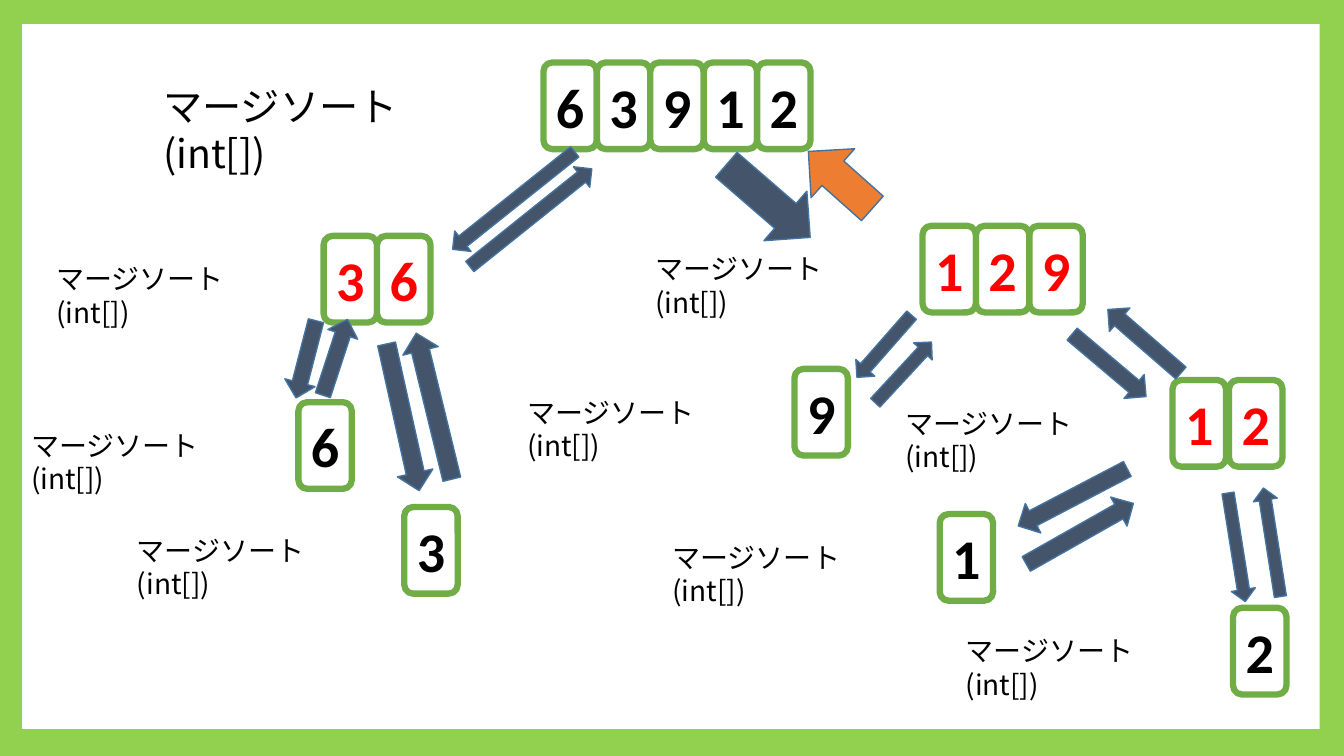
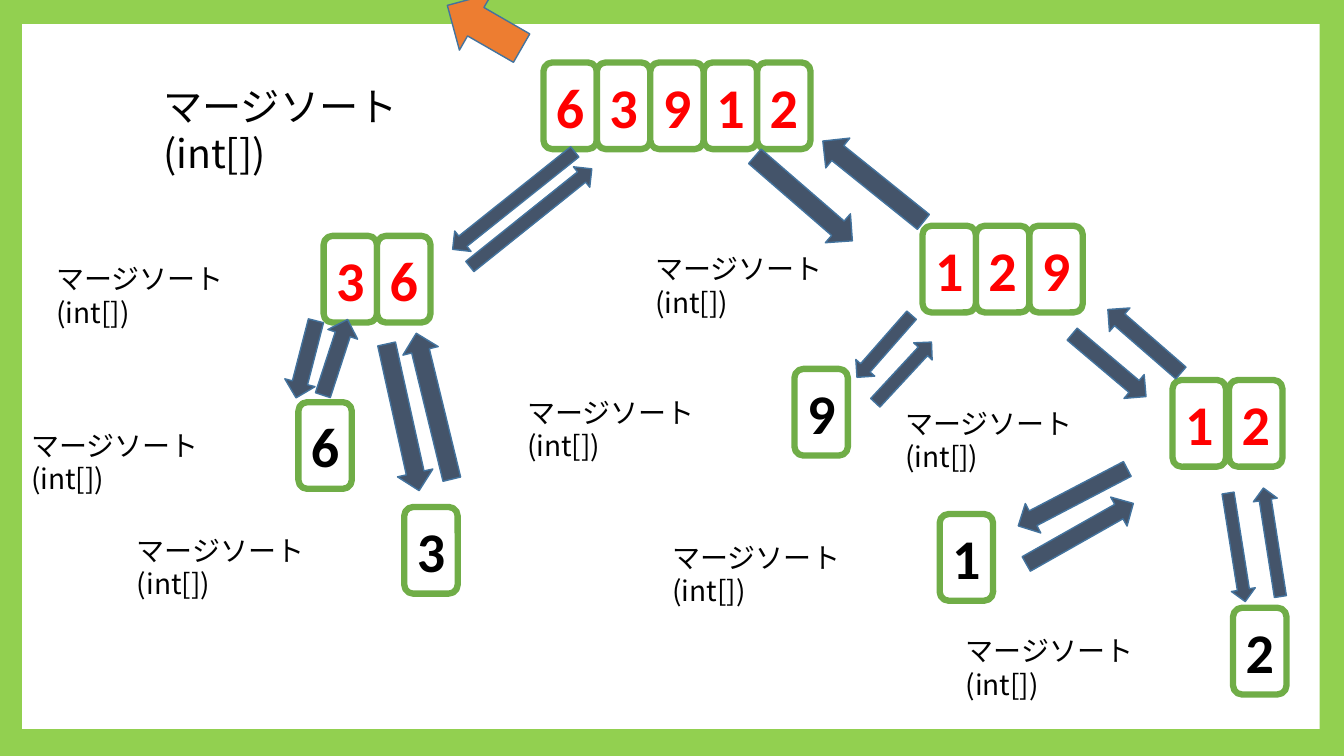
from collections import namedtuple

from pptx import Presentation
from pptx.dml.color import RGBColor
from pptx.enum.shapes import MSO_SHAPE
from pptx.enum.text import MSO_ANCHOR, MSO_AUTO_SIZE, PP_ALIGN
from pptx.util import Inches, Pt

FRAME, WHITE, BLACK = "92D050", "FFFFFF", "000000"
CELL_LINE, SORTED = "70AD47", "FF0000"
ARROW, CURRENT_ARROW, ARROW_LINE = "44546A", "ED7D31", "43739E"
DIGIT_FONT, LABEL_FONT = "Calibri", "Noto Sans CJK JP"
CALL = "マージソート\v(int[])"
CELL_WIDTH, CELL_HEIGHT = 0.53, 0.86

Node = namedtuple("Node", "digits left top pitch color")
Arrow = namedtuple("Arrow", "left top width height angle")

ROOT = Node("63912", 5.39, 0.62, 0.53, BLACK)
CALLS = [
    Node("36", 3.21, 2.34, 0.53, SORTED),
    Node("6", 2.96, 3.99, 0.53, BLACK),
    Node("3", 4.01, 5.03, 0.53, BLACK),
    Node("129", 9.15, 2.24, 0.53, SORTED),
    Node("9", 7.88, 3.66, 0.53, BLACK),
    Node("12", 11.63, 3.77, 0.56, SORTED),
    Node("1", 9.32, 5.1, 0.53, BLACK),
    Node("2", 12.23, 6.03, 0.53, BLACK),
]
SHARED_ARROWS = [
    Arrow(10.52, 3.47, 0.96, 0.31, 40.2),
    Arrow(11.72, 5.31, 1.09, 0.24, 81),
    Arrow(8.36, 3.31, 0.82, 0.25, 131.3),
    Arrow(4.32, 1.86, 1.55, 0.26, 141.4),
    Arrow(3.25, 3.96, 1.49, 0.36, 77.5),
    Arrow(2.64, 3.41, 0.79, 0.31, 104.5),
    Arrow(2.93, 3.39, 0.79, 0.31, 288.1),
    Arrow(3.56, 3.85, 1.49, 0.36, 256.3),
    Arrow(8.55, 3.57, 0.82, 0.25, 312.8),
    Arrow(10.03, 4.77, 1.22, 0.33, 152.4),
    Arrow(10.1, 5.13, 1.22, 0.33, 330.5),
    Arrow(12.07, 5.26, 1.09, 0.24, 261.1),
    Arrow(10.87, 3.23, 0.96, 0.31, 221),
    Arrow(4.49, 2.03, 1.55, 0.26, 321.3),
]
RETURN_TO_ROOT = [Arrow(7.07, 1.67, 1.1, 0.65, 40.9)]
RETURN_DONE = [
    Arrow(7.33, 1.78, 1.28, 0.38, 40.9),
    Arrow(8.02, 1.61, 1.28, 0.38, 218.8),
]


def rgb(value):
    """Turn a hex string into a colour."""
    return RGBColor.from_string(value)


def box(left, top, width, height):
    """Convert a place and size in inches to lengths."""
    return [Inches(value) for value in (left, top, width, height)]


def add_block(slide, preset, place, fill, line=None, line_width=1):
    """Add a filled preset shape without a shadow."""
    block = slide.shapes.add_shape(preset, *box(*place))
    block.shadow.inherit = False
    block.fill.solid()
    block.fill.fore_color.rgb = rgb(fill)
    if line:
        block.line.color.rgb = rgb(line)
        block.line.width = Pt(line_width)
    else:
        block.line.fill.background()
    return block


def set_font(paragraph, name, size, color, bold=False):
    """Set the font of a whole paragraph."""
    font = paragraph.font
    font.name, font.size, font.bold = name, Pt(size), bold
    font.color.rgb = rgb(color)


def write_call(frame, size):
    """Write the method call at the top left of a text frame."""
    frame.text = CALL
    frame.word_wrap = True
    frame.auto_size = MSO_AUTO_SIZE.NONE
    frame.vertical_anchor = MSO_ANCHOR.TOP
    paragraph = frame.paragraphs[0]
    paragraph.alignment = PP_ALIGN.LEFT
    paragraph.line_spacing = Pt(round(size * 1.21))
    set_font(paragraph, LABEL_FONT, size, BLACK)


def add_title(slide):
    """Place the call of the root in the title placeholder."""
    title = slide.shapes.title
    title.left, title.top, title.width, title.height = box(1.52, 0.76, 3.6, 0.57)
    write_call(title.text_frame, 28)


def add_cells(slide, node):
    """Draw the array of a node as a row of cells."""
    for index, digit in enumerate(node.digits):
        place = (node.left + index * node.pitch, node.top, CELL_WIDTH, CELL_HEIGHT)
        cell = add_block(slide, MSO_SHAPE.ROUNDED_RECTANGLE, place, WHITE, CELL_LINE, 4.5)
        frame = cell.text_frame
        frame.text = digit
        frame.vertical_anchor = MSO_ANCHOR.MIDDLE
        paragraph = frame.paragraphs[0]
        paragraph.alignment = PP_ALIGN.CENTER
        set_font(paragraph, DIGIT_FONT, 40, node.color, True)


def add_call(slide, node):
    """Draw a recursive call with its label to the left."""
    add_cells(slide, node)
    place = box(node.left - 2.75, node.top + 0.21, 2.63, 0.44)
    write_call(slide.shapes.add_textbox(*place).text_frame, 20)


def add_arrow(slide, arrow, fill=ARROW):
    """Draw a turned block arrow."""
    shape = add_block(slide, MSO_SHAPE.RIGHT_ARROW, arrow[:4], fill, ARROW_LINE)
    shape.rotation = arrow.angle


def style_master(master, slide):
    """Give the master a green frame around a white panel."""
    background = master.background.fill
    background.solid()
    background.fore_color.rgb = rgb(FRAME)
    panel = add_block(slide, MSO_SHAPE.RECTANGLE, (0.22, 0.24, 12.87, 6.99), WHITE)
    panel.element.nvSpPr.cNvPr.set("id", "99")
    master.shapes.element.insert(2, panel.element)


def build_step(slide, root_color, step_arrows, current_arrow):
    """Draw the recursion tree at one step of the sort."""
    add_title(slide)
    add_cells(slide, ROOT._replace(color=root_color))
    for node in CALLS:
        add_call(slide, node)
    for arrow in SHARED_ARROWS + step_arrows:
        add_arrow(slide, arrow)
    add_arrow(slide, current_arrow, CURRENT_ARROW)


def main():
    """Build both steps and save the presentation."""
    deck = Presentation()
    deck.slide_width, deck.slide_height = Inches(13.33), Inches(7.5)
    merging, finished = [deck.slides.add_slide(deck.slide_layouts[5]) for _ in range(2)]
    style_master(deck.slide_master, merging)
    build_step(merging, BLACK, RETURN_TO_ROOT, Arrow(7.91, 1.46, 0.85, 0.65, 221.7))
    build_step(finished, SORTED, RETURN_DONE, Arrow(4.38, -0.06, 0.85, 0.65, 209.9))
    deck.save("out.pptx")


if __name__ == "__main__":
    main()
